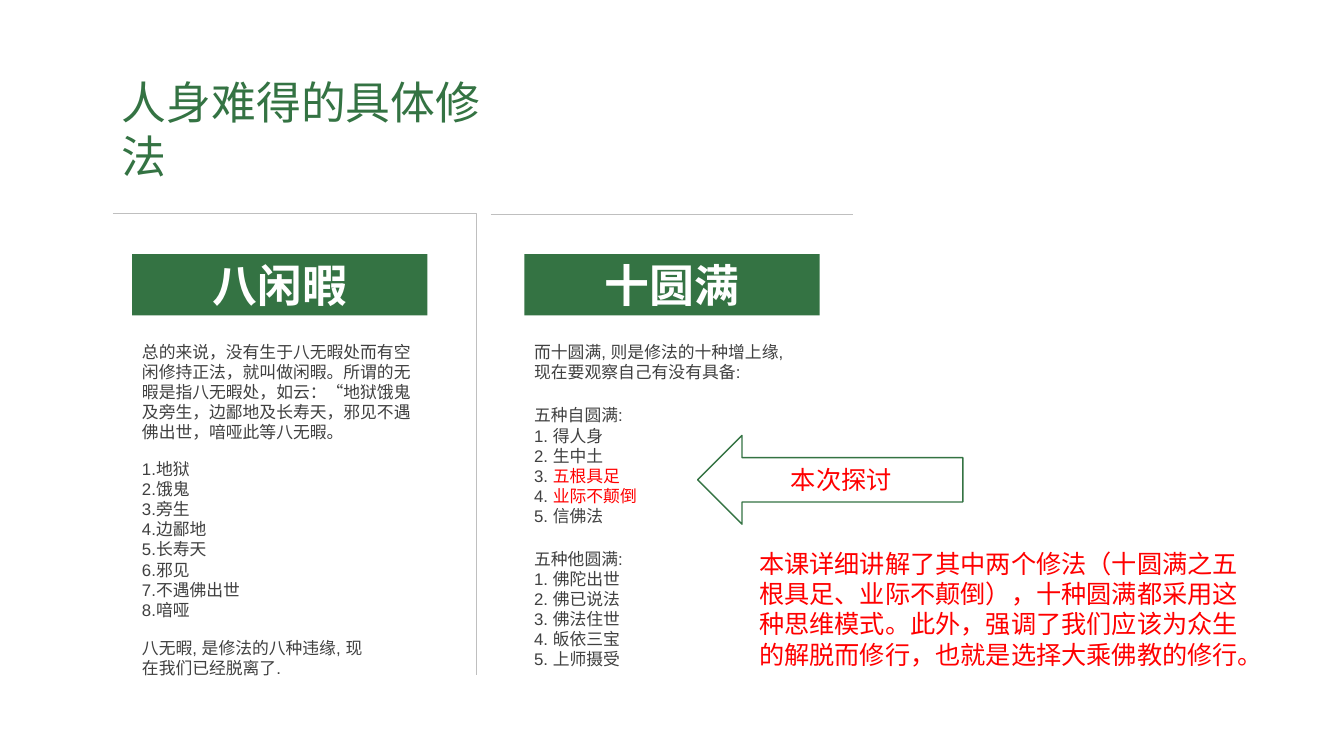
from pptx import Presentation
from pptx.dml.color import RGBColor
from pptx.enum.lang import MSO_LANGUAGE_ID
from pptx.enum.shapes import MSO_CONNECTOR, MSO_SHAPE
from pptx.enum.text import MSO_ANCHOR, PP_ALIGN
from pptx.oxml.ns import qn
from pptx.util import Inches, Pt
from lxml import etree

RECT, ARROW = MSO_SHAPE.RECTANGLE, MSO_SHAPE.LEFT_ARROW
STRAIGHT = MSO_CONNECTOR.STRAIGHT
CENTER, MIDDLE = PP_ALIGN.CENTER, MSO_ANCHOR.MIDDLE
CHINESE = MSO_LANGUAGE_ID.SIMPLIFIED_CHINESE

GREEN, GREY, RULE, RED, WHITE = "347343", "404040", "BFBFBF", "FF0000", "FFFFFF"
CJK, LATIN = "Noto Sans CJK SC", "Arial"
LINE_HEIGHT = 1.2


def color(value):
    return RGBColor.from_string(value)


class SlideBuilder:
    """Draws on one slide; all lengths are percentages of its width or height."""

    def __init__(self, prs):
        self.w, self.h = prs.slide_width, prs.slide_height
        self.shapes = prs.slides.add_slide(prs.slide_layouts[6]).shapes

    def x(self, share):
        return round(self.w * share / 100)

    def y(self, share):
        return round(self.h * share / 100)

    def box(self, left, top, width, height):
        return self.x(left), self.y(top), self.x(width), self.y(height)

    def fill_text(self, tf, lines, size, rgb, font=CJK, bold=None, align=None):
        """Each line is a string or a list of (text, colour) runs."""
        tf.word_wrap = True
        for i, line in enumerate(lines):
            p = tf.add_paragraph() if i else tf.paragraphs[0]
            p.line_spacing = Pt(size * LINE_HEIGHT)
            p.alignment = align
            for text, run_rgb in [(line, rgb)] if isinstance(line, str) else line:
                r = p.add_run()
                r.text = text
                r.font.size, r.font.bold, r.font.name = Pt(size), bold, font
                r.font.color.rgb = color(run_rgb)
                r.font.language_id = CHINESE
                latin = r.font._element.find(qn("a:latin"))
                latin.addnext(etree.Element(qn("a:ea"), typeface=CJK))

    def text(self, place, lines, size=12, rgb=GREY, font=LATIN):
        sp = self.shapes.add_textbox(*self.box(*place))
        self.fill_text(sp.text_frame, lines, size, rgb, font)

    def shape(self, kind, place, label, size, rgb, fill, line=None, bold=None):
        sp = self.shapes.add_shape(kind, *self.box(*place))
        sp.shadow.inherit = False
        sp.fill.solid()
        sp.fill.fore_color.rgb = color(fill)
        self.outline(sp, line, 1)
        sp.text_frame.vertical_anchor = MIDDLE
        self.fill_text(sp.text_frame, [label], size, rgb, bold=bold, align=CENTER)

    def outline(self, sp, rgb, width):
        if rgb is None:
            sp.line.fill.background()
        else:
            sp.line.color.rgb = color(rgb)
            sp.line.width = Pt(width)

    def rule(self, left, right, top):
        cn = self.shapes.add_connector(
            STRAIGHT, self.x(left), self.y(top), self.x(right), self.y(top))
        self.outline(cn, RULE, 0.25)
        etree.SubElement(cn._element.spPr, qn("a:effectLst"))

    def corner(self, left, top, right, bottom):
        fb = self.shapes.build_freeform(self.x(left), self.y(top))
        fb.add_line_segments(
            [(self.x(right), self.y(top)), (self.x(right), self.y(bottom))], close=False)
        sp = fb.convert_to_shape()
        sp.shadow.inherit = False
        sp.fill.background()
        self.outline(sp, RULE, 0.25)


def numbered(items, gap="", highlighted=()):
    return [[(f"{n}.{gap}", GREY), (item, RED if item in highlighted else GREY)]
            for n, item in enumerate(items, 1)]


def main():
    prs = Presentation()
    prs.slide_width, prs.slide_height = Inches(13.33), Inches(7.5)
    s = SlideBuilder(prs)

    # Shared columns and rows
    left_col, right_col = 9.83, 39.01
    panel_w, list_w = 21.98, 18.98
    rule_y, header_y, intro_y, others_y = 28.27, 33.6, 44.53, 71.87

    # Title and rules
    s.text((8.33, 9.2, 31.43, 8.53), ["人身难得的具体修法"], 32, GREEN, CJK)
    s.corner(8.4, rule_y, 35.41, 89.33)
    s.rule(36.53, 63.47, rule_y)

    # Column headers
    for col, label in ((left_col, "八闲暇"), (right_col, "十圆满")):
        s.shape(RECT, (col, header_y, panel_w, 8.13), label, 32, WHITE, GREEN, bold=True)

    # Left column: eight freedoms
    s.text((left_col, intro_y, panel_w, 16.67), [
        "总的来说，没有生于八无暇处而有空闲修持正法，就叫做闲暇。所谓的无暇是指八无暇处，"
        "如云：“地狱饿鬼及旁生，边鄙地及长寿天，邪见不遇佛出世，喑哑此等八无暇。"])
    s.text((left_col, 60, list_w, 22.93), numbered(
        ["地狱", "饿鬼", "旁生", "边鄙地", "长寿天", "邪见", "不遇佛出世", "喑哑"]))
    s.text((left_col, 83.73, list_w, 6.67),
           ["八无暇, 是修法的八种违缘, 现在我们已经脱离了."])

    # Right column: ten endowments
    s.text((right_col, intro_y, panel_w, 9.2),
           ["而十圆满, 则是修法的十种增上缘,", "现在要观察自己有没有具备:"])
    s.text((right_col, 52.93, list_w, 20.13), ["五种自圆满:"] + numbered(
        ["得人身", "生中土", "五根具足", "业际不颠倒", "信佛法"], " ",
        ("五根具足", "业际不颠倒")))
    s.text((right_col, others_y, list_w, 17.47), ["五种他圆满:"] + numbered(
        ["佛陀出世", "佛已说法", "佛法住世", "皈依三宝", "上师摄受"], " "))

    # Arrow and lesson note
    s.shape(ARROW, (51.91, 57.6, 19.73, 11.73), "本次探讨", 18, RED, WHITE, GREEN)
    s.text((55.74, others_y, 37.28, 17.47), [
        "本课详细讲解了其中两个修法（十圆满之五根具足、业际不颠倒），十种圆满都采用这种思维模式。"
        "此外，强调了我们应该为众生的解脱而修行，也就是选择大乘佛教的修行。"], 18, RED, CJK)

    prs.save("out.pptx")


if __name__ == "__main__":
    main()
